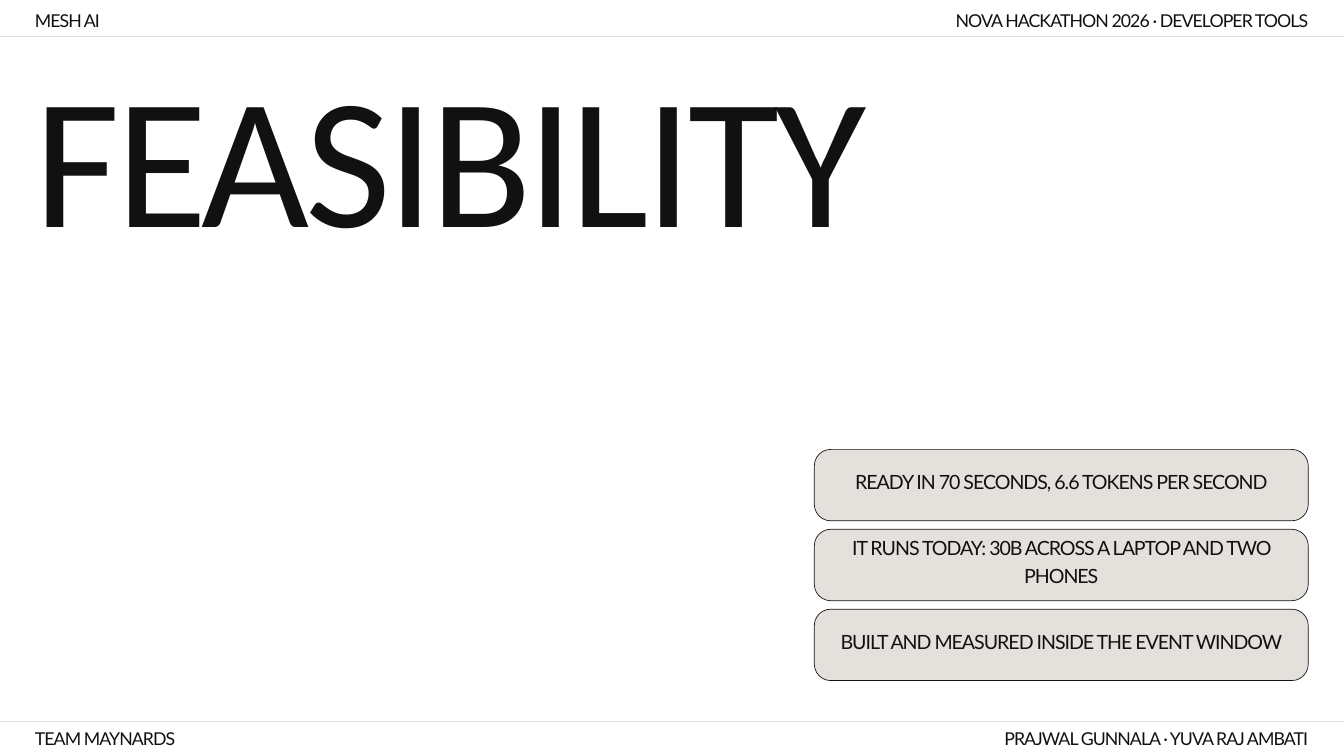
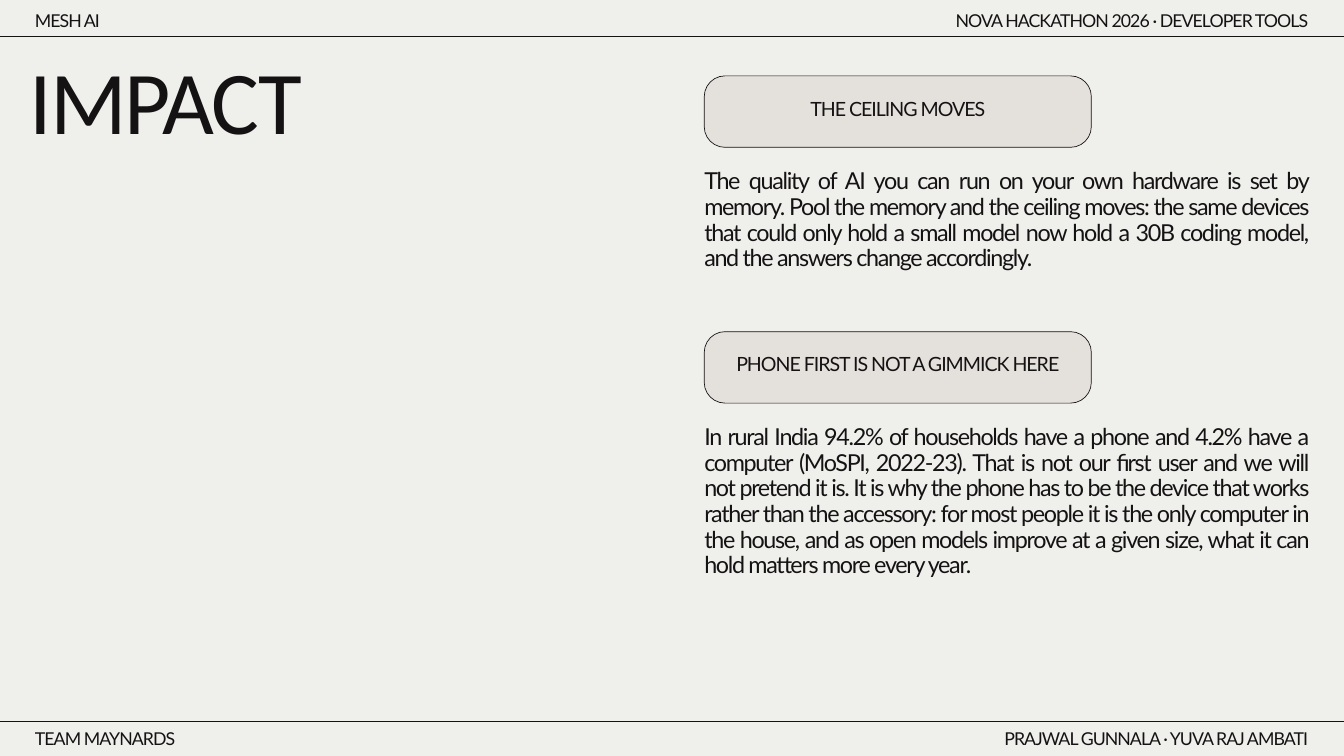
"""Build the feasibility and impact slides of the Mesh AI deck."""
from lxml.etree import SubElement
from pptx import Presentation
from pptx.dml.color import RGBColor
from pptx.enum.shapes import MSO_CONNECTOR, MSO_SHAPE
from pptx.enum.text import MSO_ANCHOR, MSO_AUTO_SIZE, PP_ALIGN
from pptx.oxml.ns import qn
from pptx.util import Cm, Pt

COLORS = {
    "white": "FFFFFF",
    "paper": "EFEFEC",
    "stone": "E4E1DD",
    "black": "111111",
    "ink": "151213",
}
LEFT, RIGHT = 1.32, 49.45
SLIDE_WIDTH = 50.8
CHIP_HEIGHT = 2.7

BANDS = [
    (0.25, 1.37, [("MESH AI", 7.82), ("NOVA HACKATHON 2026 · DEVELOPER TOOLS", 17.68)]),
    (27.38, 27.28, [("TEAM MAYNARDS", 11.76), ("PRAJWAL GUNNALA · YUVA RAJ AMBATI", 11.76)]),
]

RESULTS = [
    "READY IN 70 SECONDS, 6.6 TOKENS PER SECOND",
    "IT RUNS TODAY: 30B ACROSS A LAPTOP AND TWO PHONES",
    "BUILT AND MEASURED INSIDE THE EVENT WINDOW",
]

ARGUMENTS = [
    ("THE CEILING MOVES",
     "The quality of AI you can run on your own hardware is set by memory. Pool the memory "
     "and the ceiling moves: the same devices that could only hold a small model now hold a "
     "30B coding model, and the answers change accordingly."),
    ("PHONE FIRST IS NOT A GIMMICK HERE",
     "In rural India 94.2% of households have a phone and 4.2% have a computer (MoSPI, "
     "2022-23). That is not our first user and we will not pretend it is. It is why the phone "
     "has to be the device that works rather than the accessory: for most people it is the "
     "only computer in the house, and as open models improve at a given size, what it can "
     "hold matters more every year."),
]

SLIDES = [
    dict(title="FEASIBILITY", paper="white", ink="black", rule="stone",
         box=(LEFT, 2.95, 46.81, 7.42), size=200, tracking=-4.4),
    dict(title="IMPACT", paper="paper", ink="ink", rule="ink",
         box=(1.12, 2.36, 21.06, 6.96), size=96, tracking=-2.1),
]


def write(shape, text, size, leading, tracking, color, font="Lato",
          align=PP_ALIGN.LEFT, anchor=MSO_ANCHOR.TOP, insets=(0, 0, 0, 0)):
    frame = shape.text_frame
    frame.word_wrap = True
    frame.auto_size = MSO_AUTO_SIZE.NONE
    frame.vertical_anchor = anchor
    (frame.margin_left, frame.margin_top,
     frame.margin_right, frame.margin_bottom) = map(Cm, insets)
    paragraph = frame.paragraphs[0]
    paragraph.alignment = align
    paragraph.line_spacing = Pt(leading)
    paragraph.space_before = Pt(0)
    run = paragraph.add_run()
    run.text = text
    run.font.name = font
    run.font.size = Pt(size)
    run.font.color.rgb = RGBColor.from_string(COLORS[color])
    run.font._element.set("spc", str(round(tracking * 100)))


def add_chip(slide, text, left, top, width, radius, color):
    chip = slide.shapes.add_shape(MSO_SHAPE.ROUNDED_RECTANGLE, Cm(left), Cm(top),
                                  Cm(width), Cm(CHIP_HEIGHT))
    chip.adjustments[0] = radius
    chip.shadow.inherit = False
    chip.fill.solid()
    chip.fill.fore_color.rgb = RGBColor.from_string(COLORS["stone"])
    chip.line.color.rgb = RGBColor.from_string(COLORS["ink"])
    chip.line.width = Pt(0.75)
    write(chip, text, size=21, leading=29.4, tracking=-1.1, color=color,
          align=PP_ALIGN.CENTER, anchor=MSO_ANCHOR.MIDDLE, insets=(0.15, 0, 0.15, 0.4))


deck = Presentation()
deck.slide_width, deck.slide_height = Cm(SLIDE_WIDTH), Cm(28.58)

for look in SLIDES:
    slide = deck.slides.add_slide(deck.slide_layouts[5])
    slide.background.fill.solid()
    slide.background.fill.fore_color.rgb = RGBColor.from_string(COLORS[look["paper"]])

    title = slide.shapes.title
    title.left, title.top, title.width, title.height = map(Cm, look["box"])
    write(title, look["title"], size=look["size"], leading=look["size"],
          tracking=look["tracking"], color=look["ink"], font="Calibri")

    for label_top, rule_top, labels in BANDS:
        for (label, width), align in zip(labels, (PP_ALIGN.LEFT, PP_ALIGN.RIGHT)):
            label_left = LEFT if align == PP_ALIGN.LEFT else RIGHT - width
            band_label = slide.shapes.add_textbox(Cm(label_left), Cm(label_top), Cm(width), Cm(0.89))
            write(band_label, label, size=19, leading=26.6, tracking=-1,
                  color=look["ink"], align=align)
        rule = slide.shapes.add_connector(MSO_CONNECTOR.STRAIGHT, 0, Cm(rule_top),
                                          Cm(SLIDE_WIDTH), Cm(rule_top))
        rule.line.color.rgb = RGBColor.from_string(COLORS[look["rule"]])
        rule.line.width = Pt(0.75)
        SubElement(rule._element.spPr, qn("a:effectLst"))

feasibility, impact = deck.slides

for row, result in enumerate(RESULTS):
    add_chip(feasibility, result, left=30.78, top=16.99 + row * 3.02, width=18.67,
             radius=0.23, color="black")

ARGUMENT_LEFT = 26.62
for row, (claim, reasoning) in enumerate(ARGUMENTS):
    claim_top = 2.87 + row * 9.67
    add_chip(impact, claim, left=ARGUMENT_LEFT, top=claim_top, width=14.63,
             radius=0.29, color="ink")
    explanation = impact.shapes.add_textbox(Cm(ARGUMENT_LEFT), Cm(claim_top + 3.51),
                                            Cm(RIGHT - ARGUMENT_LEFT), Cm(5.82))
    write(explanation, reasoning, size=25, leading=27.5, tracking=-1.4, color="ink",
          align=PP_ALIGN.JUSTIFY)

deck.save("out.pptx")
